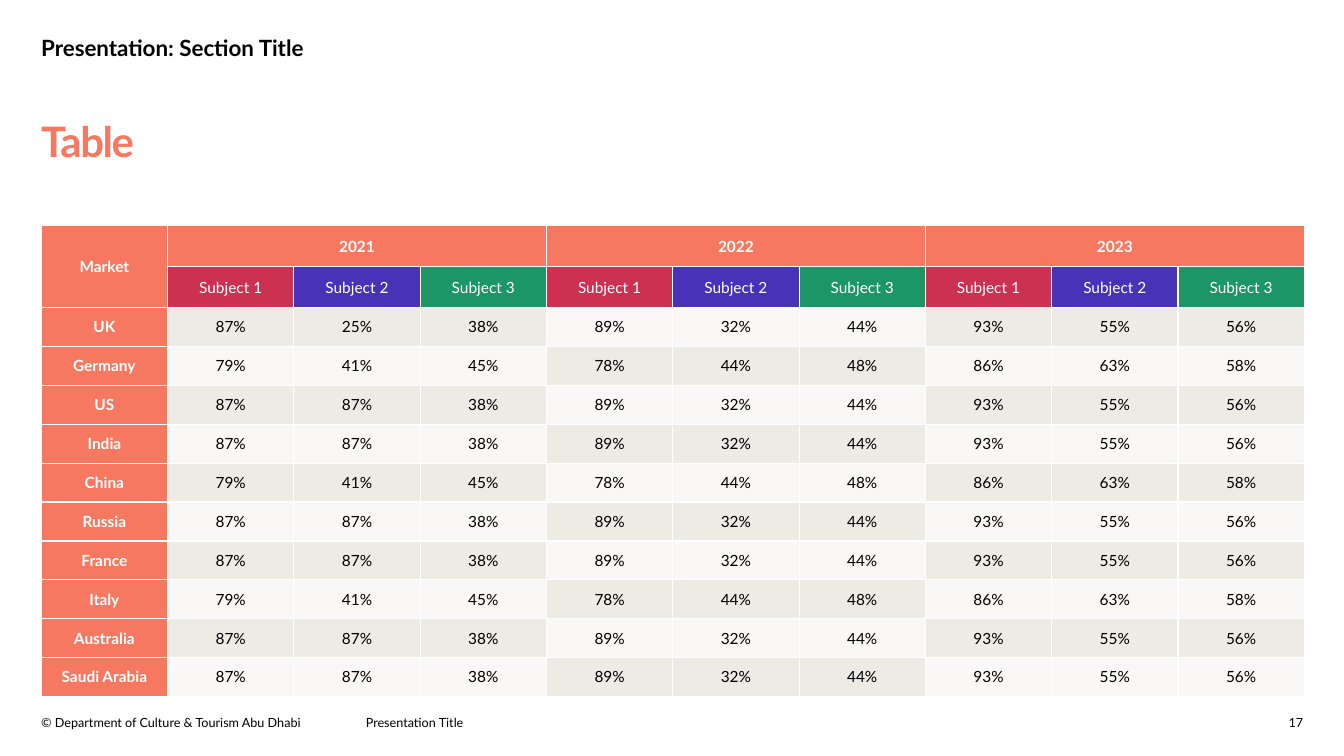
from dataclasses import dataclass

from lxml import etree
from pptx import Presentation
from pptx.dml.color import RGBColor
from pptx.enum.text import MSO_ANCHOR, PP_ALIGN
from pptx.oxml.ns import qn
from pptx.util import Cm, Pt

LEFT, CENTER, RIGHT = PP_ALIGN.LEFT, PP_ALIGN.CENTER, PP_ALIGN.RIGHT
TOP, MIDDLE, BOTTOM = MSO_ANCHOR.TOP, MSO_ANCHOR.MIDDLE, MSO_ANCHOR.BOTTOM


@dataclass(frozen=True)
class Theme:
    font: str = "Lato"
    text: str = "000000"
    white: str = "FFFFFF"
    accent: str = "F77860"
    subjects: tuple = ("CD3151", "4832B8", "1C9667")
    band: str = "E3DCD3"
    strong: int = 60
    soft: int = 20
    title_size: int = 30
    section_size: int = 16
    table_size: int = 11
    footer_size: int = 9
    border: int = 1


@dataclass(frozen=True)
class Box:
    left: float
    top: float
    width: float
    height: float

    def lengths(self):
        return Cm(self.left), Cm(self.top), Cm(self.width), Cm(self.height)


THEME = Theme()
YEARS = ("2021", "2022", "2023")
SUBJECTS = ("Subject 1", "Subject 2", "Subject 3")
HEADER_ROWS = 2
HEADER_HEIGHT, MARKET_HEIGHT = 1.03, 0.98
MARKETS = (
    ("UK", (87, 25, 38, 89, 32, 44, 93, 55, 56)),
    ("Germany", (79, 41, 45, 78, 44, 48, 86, 63, 58)),
    ("US", (87, 87, 38, 89, 32, 44, 93, 55, 56)),
    ("India", (87, 87, 38, 89, 32, 44, 93, 55, 56)),
    ("China", (79, 41, 45, 78, 44, 48, 86, 63, 58)),
    ("Russia", (87, 87, 38, 89, 32, 44, 93, 55, 56)),
    ("France", (87, 87, 38, 89, 32, 44, 93, 55, 56)),
    ("Italy", (79, 41, 45, 78, 44, 48, 86, 63, 58)),
    ("Australia", (87, 87, 38, 89, 32, 44, 93, 55, 56)),
    ("Saudi Arabia", (87, 87, 38, 89, 32, 44, 93, 55, 56)),
)


def write_run(paragraph, text, size, color, bold=False):
    run = paragraph.add_run()
    run.text = text
    run.font.name = THEME.font
    run.font.size = Pt(size)
    run.font.bold = bold
    run.font.color.rgb = RGBColor.from_string(color)
    return run


def add_text(slide, box, text, size, color=THEME.text, bold=False,
             align=LEFT, anchor=BOTTOM):
    frame = slide.shapes.add_textbox(*box.lengths()).text_frame
    frame.word_wrap = True
    frame.vertical_anchor = anchor
    frame.margin_left = frame.margin_right = 0
    frame.margin_top = frame.margin_bottom = 0
    paragraph = frame.paragraphs[0]
    paragraph.alignment = align
    return paragraph, write_run(paragraph, text, size, color, bold)


def add_heading(slide, box):
    section = Box(box.left, box.top, 27.33, 1.35)
    add_text(slide, section, "Presentation: Section Title",
             THEME.section_size, bold=True)
    title = Box(box.left, box.top + 2.85, box.width, 2.36)
    paragraph, run = add_text(slide, title, "Table", THEME.title_size,
                              THEME.accent, bold=True, anchor=TOP)
    paragraph.line_spacing = 0.9
    run.font._element.set("spc", "-100")


def draw_borders(cell):
    properties = cell._tc.get_or_add_tcPr()
    for side in ("a:lnL", "a:lnR", "a:lnT", "a:lnB"):
        line = etree.SubElement(properties, qn(side), w=str(Pt(THEME.border)))
        fill = etree.SubElement(line, qn("a:solidFill"))
        etree.SubElement(fill, qn("a:srgbClr"), val=THEME.white)


def fill_cell(cell, color, opacity=100):
    cell.fill.solid()
    cell.fill.fore_color.rgb = RGBColor.from_string(color)
    if opacity < 100:
        tint = cell._tc.tcPr.find(qn("a:solidFill")).find(qn("a:srgbClr"))
        etree.SubElement(tint, qn("a:alpha"), val=str(opacity * 1000))


def write_cell(cell, text, color=THEME.white, bold=False):
    cell.vertical_anchor = MIDDLE
    paragraph = cell.text_frame.paragraphs[0]
    paragraph.alignment = CENTER
    write_run(paragraph, text, THEME.table_size, color, bold)


def add_table_header(table):
    market = table.cell(0, 0)
    market.merge(table.cell(HEADER_ROWS - 1, 0))
    write_cell(market, "Market", bold=True)
    span = len(SUBJECTS)
    for group, year in enumerate(YEARS):
        first = 1 + group * span
        heading = table.cell(0, first)
        heading.merge(table.cell(0, first + span - 1))
        write_cell(heading, year, bold=True)
        for offset, subject in enumerate(SUBJECTS):
            cell = table.cell(1, first + offset)
            fill_cell(cell, THEME.subjects[offset])
            write_cell(cell, subject)


def add_market_row(table, index, name, shares):
    row = index + HEADER_ROWS
    write_cell(table.cell(row, 0), name, bold=True)
    for position, share in enumerate(shares):
        cell = table.cell(row, position + 1)
        group = position // len(SUBJECTS)
        opacity = THEME.soft if (index + group) % 2 else THEME.strong
        fill_cell(cell, THEME.band, opacity)
        write_cell(cell, f"{share}%", THEME.text)


def add_market_table(slide, box):
    row_count = HEADER_ROWS + len(MARKETS)
    column_count = 1 + len(YEARS) * len(SUBJECTS)
    table = slide.shapes.add_table(row_count, column_count, *box.lengths()).table
    for column in table.columns:
        column.width = Cm(box.width / column_count)
    for index, row in enumerate(table.rows):
        row.height = Cm(HEADER_HEIGHT if index < HEADER_ROWS else MARKET_HEIGHT)
    for cell in table.iter_cells():
        draw_borders(cell)
        fill_cell(cell, THEME.accent)
    add_table_header(table)
    for index, (name, shares) in enumerate(MARKETS):
        add_market_row(table, index, name, shares)


def add_footer(slide, box):
    number_width = 0.94
    parts = (
        (0, 7.92, "© Department of Culture & Tourism Abu Dhabi", LEFT),
        (8.18, 6.73, "Presentation Title", LEFT),
        (box.width - number_width, number_width, "17", RIGHT),
    )
    for offset, width, text, align in parts:
        part = Box(box.left + offset, box.top, width, box.height)
        add_text(slide, part, text, THEME.footer_size, align=align)


def main():
    presentation = Presentation()
    presentation.slide_width = Cm(33.87)
    presentation.slide_height = Cm(19.05)
    slide = presentation.slides.add_slide(presentation.slide_layouts[6])
    add_heading(slide, Box(1.04, 0.2, 31.8, 5.21))
    add_market_table(slide, Box(1.04, 5.69, 31.83, 11.86))
    add_footer(slide, Box(1.04, 17.91, 31.8, 0.48))
    presentation.save("out.pptx")


if __name__ == "__main__":
    main()
